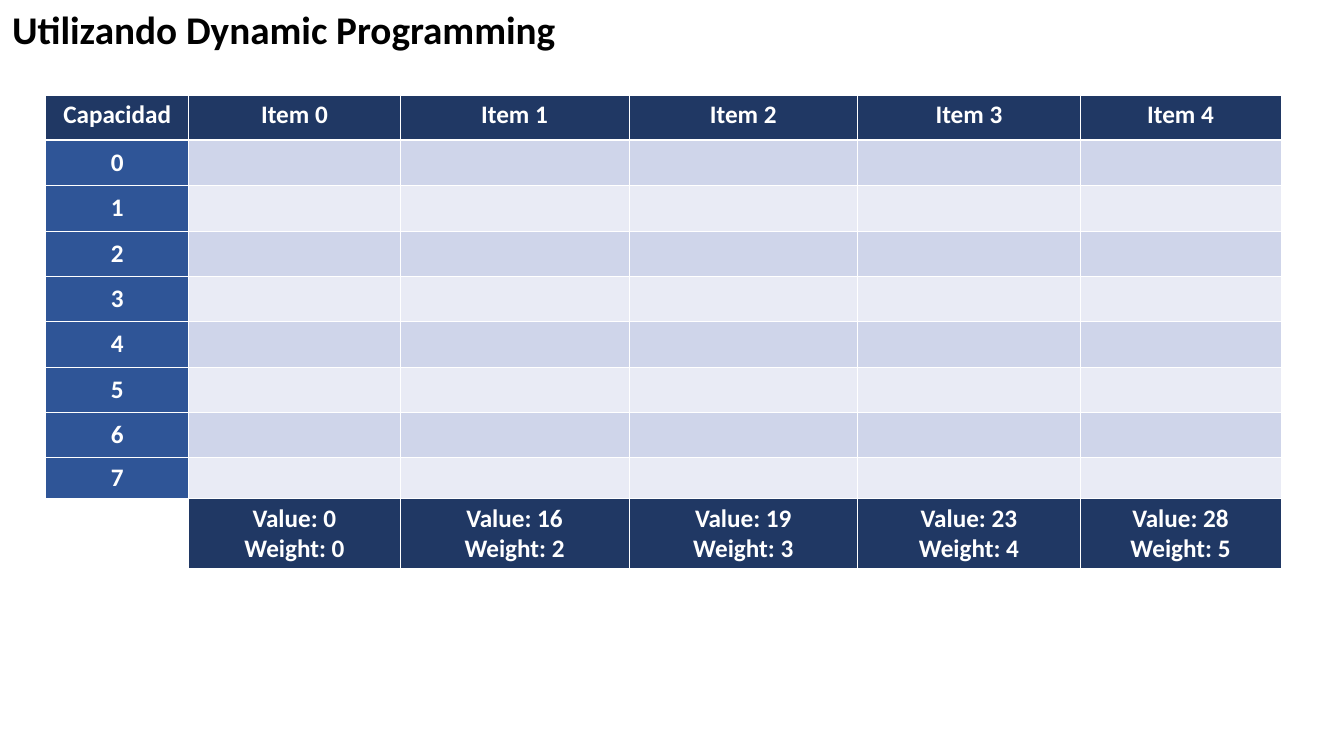
from dataclasses import dataclass

from lxml import etree
from pptx import Presentation
from pptx import util as u
from pptx.dml.color import RGBColor
from pptx.enum import text
from pptx.oxml.ns import qn


@dataclass(frozen=True)
class Theme:
    font: str = "Calibri"
    title_size: int = 28
    cell_size: int = 18
    ink: str = "000000"
    white: str = "FFFFFF"
    navy: str = "203864"
    blue: str = "2F5597"
    bands: tuple = ("CFD5EA", "E9EBF5")
    thin: float = 0.45
    thick: float = 1.47


class SlideBuilder:
    """Holds the theme and current slide; lengths are percentages of the slide."""

    def __init__(self, presentation, theme):
        self.presentation = presentation
        self.theme = theme
        self.slide = presentation.slides.add_slide(presentation.slide_layouts[5])

    def across(self, share):
        return u.Emu(round(self.presentation.slide_width * share / 100))

    def down(self, share):
        return u.Emu(round(self.presentation.slide_height * share / 100))

    def set_text(self, frame, lines, size, color, alignment):
        frame.text = "\n".join(lines)
        font_values = {"name": self.theme.font, "size": u.Pt(size), "bold": True}
        for paragraph in frame.paragraphs:
            paragraph.alignment = alignment
            for name, value in font_values.items():
                setattr(paragraph.font, name, value)
            paragraph.font.color.rgb = RGBColor.from_string(color)

    def title(self, words, left, top, width, height):
        shape = self.slide.shapes.title
        place = {"left": self.across(left), "top": self.down(top),
                 "width": self.across(width), "height": self.down(height)}
        for name, value in place.items():
            setattr(shape, name, value)
        frame_values = {"word_wrap": False, "vertical_anchor": text.MSO_ANCHOR.TOP,
                        "auto_size": text.MSO_AUTO_SIZE.SHAPE_TO_FIT_TEXT}
        for name, value in frame_values.items():
            setattr(shape.text_frame, name, value)
        self.set_text(shape.text_frame, [words], self.theme.title_size,
                      self.theme.ink, text.PP_ALIGN.LEFT)

    def table(self, left, top, columns, rows):
        frame = self.slide.shapes.add_table(
            len(rows), len(columns), self.across(left), self.down(top),
            self.across(sum(columns)), self.down(sum(rows)))
        table = frame.table
        table.first_row = table.horz_banding = False
        for column, share in zip(table.columns, columns):
            column.width = self.across(share)
        for row, share in zip(table.rows, rows):
            row.height = self.down(share)
        return table

    def borders(self, cell, top, bottom):
        thin = self.theme.thin
        properties = cell._tc.get_or_add_tcPr()
        for side, width in {"L": thin, "R": thin, "T": top, "B": bottom}.items():
            line = etree.SubElement(properties, qn(f"a:ln{side}"), w=str(u.Pt(width)))
            fill = etree.SubElement(line, qn("a:solidFill"))
            etree.SubElement(fill, qn("a:srgbClr"), val=self.theme.white)

    def cell(self, cell, lines, fill, anchor, top, bottom):
        self.borders(cell, top, bottom)
        cell.vertical_anchor = anchor
        if fill:
            cell.fill.solid()
            cell.fill.fore_color.rgb = RGBColor.from_string(fill)
        else:
            cell.fill.background()
        self.set_text(cell.text_frame, lines, self.theme.cell_size,
                      self.theme.white, text.PP_ALIGN.CENTER)


def main():
    presentation = Presentation()
    presentation.slide_width = u.Inches(13.34)
    presentation.slide_height = u.Inches(7.5)
    theme = Theme()
    builder = SlideBuilder(presentation, theme)

    # Knapsack data: (value, weight) of each item, and the capacities
    items = [(0, 0), (16, 2), (19, 3), (23, 4), (28, 5)]
    capacities = range(8)
    header = [["Capacidad"]] + [[f"Item {number}"] for number in range(len(items))]
    body = [[[str(capacity)]] + [[]] * len(items) for capacity in capacities]
    footer = [[]] + [[f"Value: {value}", f"Weight: {weight}"] for value, weight in items]
    content = [header, *body, footer]

    # Table
    columns = [10.64, 15.74, 17.02, 17.02, 16.57, 14.92]
    rows = [6] * len(capacities) + [5.33, 9.33]
    table = builder.table(3.4, 12.55, columns, rows)
    last = len(content) - 1
    for row, entries in enumerate(content):
        for column, lines in enumerate(entries):
            if row in (0, last):
                fill = theme.navy if lines else None
            else:
                fill = theme.bands[(row - 1) % 2] if column else theme.blue
            builder.cell(
                table.cell(row, column), lines, fill,
                anchor=text.MSO_ANCHOR.MIDDLE if row else text.MSO_ANCHOR.TOP,
                top=theme.thick if row == 1 else theme.thin,
                bottom=theme.thin if row else theme.thick)

    # Title
    builder.title("Utilizando Dynamic Programming", 0.15, 0, 42.05, 7.6)

    presentation.save("out.pptx")


if __name__ == "__main__":
    main()
